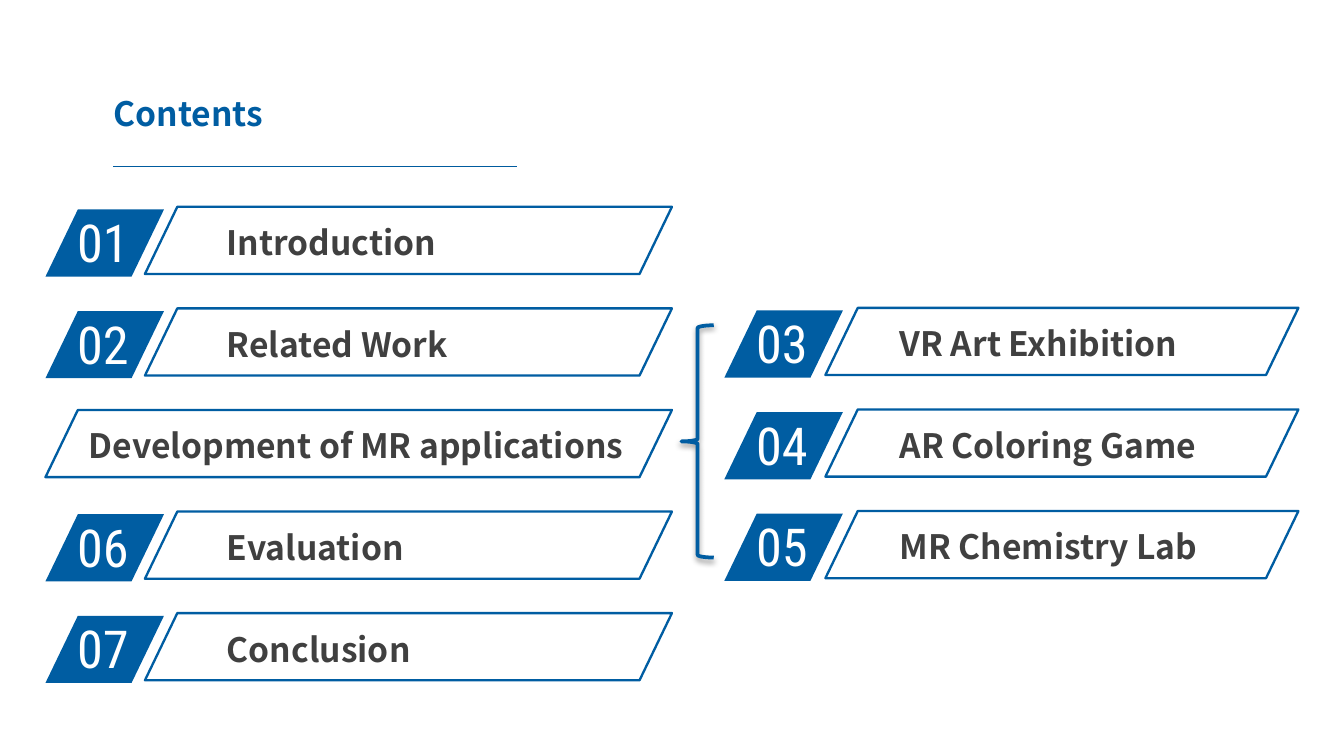
from dataclasses import dataclass
from lxml.etree import SubElement
from pptx import Presentation
from pptx.dml.color import RGBColor
from pptx.enum.shapes import MSO_CONNECTOR as Connector, MSO_SHAPE as Preset
from pptx.enum.text import MSO_ANCHOR as Anchor
from pptx.oxml.ns import qn
from pptx.util import Cm, Pt

TITLE = "Contents"
LEFT_ENTRIES = [
    ("01", "Introduction"),
    ("02", "Related Work"),
    (None, "Development of MR applications"),
    ("06", "Evaluation"),
    ("07", "Conclusion"),
]
RIGHT_ENTRIES = [
    ("03", "VR Art Exhibition"),
    ("04", "AR Coloring Game"),
    ("05", "MR Chemistry Lab"),
]


@dataclass(frozen=True)
class Theme:
    blue: RGBColor = RGBColor(0x00, 0x5D, 0xA2)
    rule: RGBColor = RGBColor(0x00, 0x5B, 0x9E)
    ink: RGBColor = RGBColor(0x40, 0x40, 0x40)
    white: RGBColor = RGBColor(0xFF, 0xFF, 0xFF)
    text_font: str = "Noto Sans CJK SC"
    number_font: str = "Roboto Condensed"
    text_size: int = 18
    number_size: int = 28


@dataclass(frozen=True)
class Column:
    badge_left: float
    frame_left: float
    frame_right: float
    label_left: float
    label_width: float
    top: float


THEME = Theme()
LEFT = Column(0.86, 2.74, 12.7, 4.11, 7.29, 3.91)
RIGHT = Column(13.69, 15.6, 24.54, 16.82, 6.55, 5.82)
ROW_PITCH = 1.92
ROW_HEIGHT = 1.27
BADGE_WIDTH = 2.24
SLANT = 0.482


def add_text(shapes, text, left, top, width, height, color, font, size, bold, inset=None):
    box = shapes.add_textbox(Cm(left), Cm(top), Cm(width), Cm(height))
    frame = box.text_frame
    frame.word_wrap = True
    if inset:
        frame.margin_left = frame.margin_right = Cm(inset)
        frame.margin_top = frame.margin_bottom = Cm(inset / 2)
    para = frame.paragraphs[0]
    para.text = text
    para.font.name = font
    para.font.size = Pt(size)
    para.font.bold = bold
    para.font.color.rgb = color
    for span in para.runs:
        SubElement(span.font._element, qn("a:ea"), typeface=font)
    return box


def add_heading_text(shapes, text, left, top, width, height, color, inset=None):
    return add_text(shapes, text, left, top, width, height, color,
                    THEME.text_font, THEME.text_size, True, inset)


def add_slanted(shapes, left, top, width):
    shape = shapes.add_shape(Preset.PARALLELOGRAM, Cm(left), Cm(top), Cm(width), Cm(ROW_HEIGHT))
    shape.adjustments[0] = SLANT
    shape.shadow.inherit = False
    return shape


def add_badge(page, number, left, top):
    shapes = page.shapes.add_group_shape().shapes
    badge = add_slanted(shapes, left, top + 0.05, BADGE_WIDTH)
    badge.fill.solid()
    badge.fill.fore_color.rgb = THEME.blue
    badge.line.fill.background()
    add_text(shapes, number, left + 0.35, top - 0.06, 2.13, 1.45,
             THEME.white, THEME.number_font, THEME.number_size, False)


def add_label(page, text, left, right, top, label_left, label_width):
    shapes = page.shapes.add_group_shape().shapes
    add_heading_text(shapes, text, label_left, top + 0.2, label_width, 0.97, THEME.ink, 0.18)
    outline = add_slanted(shapes, left, top, right - left)
    outline.fill.background()
    outline.line.color.rgb = THEME.blue
    outline.line.width = Pt(1.25)


def add_column(page, column, entries):
    for row, (number, text) in enumerate(entries):
        top = column.top + row * ROW_PITCH
        if number:
            add_badge(page, number, column.badge_left, top)
            add_label(page, text, column.frame_left, column.frame_right, top,
                      column.label_left, column.label_width)
        else:
            add_label(page, text, column.badge_left, column.frame_right, top,
                      column.badge_left + 0.64, 11.13)


def add_title(page):
    box = add_heading_text(page.shapes, TITLE, 1.9, 1.45, 6.27, 1.37, THEME.blue)
    box.text_frame.vertical_anchor = Anchor.MIDDLE
    rule = page.shapes.add_connector(Connector.STRAIGHT, Cm(2.14), Cm(3.15), Cm(9.78), Cm(3.15))
    rule.line.color.rgb = THEME.rule
    rule.line.width = Pt(0.75)
    SubElement(rule._element.spPr, qn("a:effectLst"))


def add_brace(page):
    brace = page.shapes.add_shape(Preset.LEFT_BRACE, Cm(12.88), Cm(6.15), Cm(0.61), Cm(4.39))
    brace.fill.background()
    brace.line.color.rgb = THEME.blue
    brace.line.width = Pt(2)
    effects = SubElement(brace._element.spPr, qn("a:effectLst"))
    shadow = SubElement(effects, qn("a:outerShdw"), blurRad=str(Pt(3.1)), dist=str(Pt(1.6)),
                        dir="5400000", rotWithShape="0")
    color = SubElement(shadow, qn("a:srgbClr"), val="000000")
    SubElement(color, qn("a:alpha"), val="38000")


def main():
    deck = Presentation()
    deck.slide_width, deck.slide_height = Cm(25.4), Cm(14.29)
    page = deck.slides.add_slide(deck.slide_layouts[6])
    add_title(page)
    add_column(page, LEFT, LEFT_ENTRIES)
    add_column(page, RIGHT, RIGHT_ENTRIES)
    add_brace(page)
    deck.save("out.pptx")


if __name__ == "__main__":
    main()
